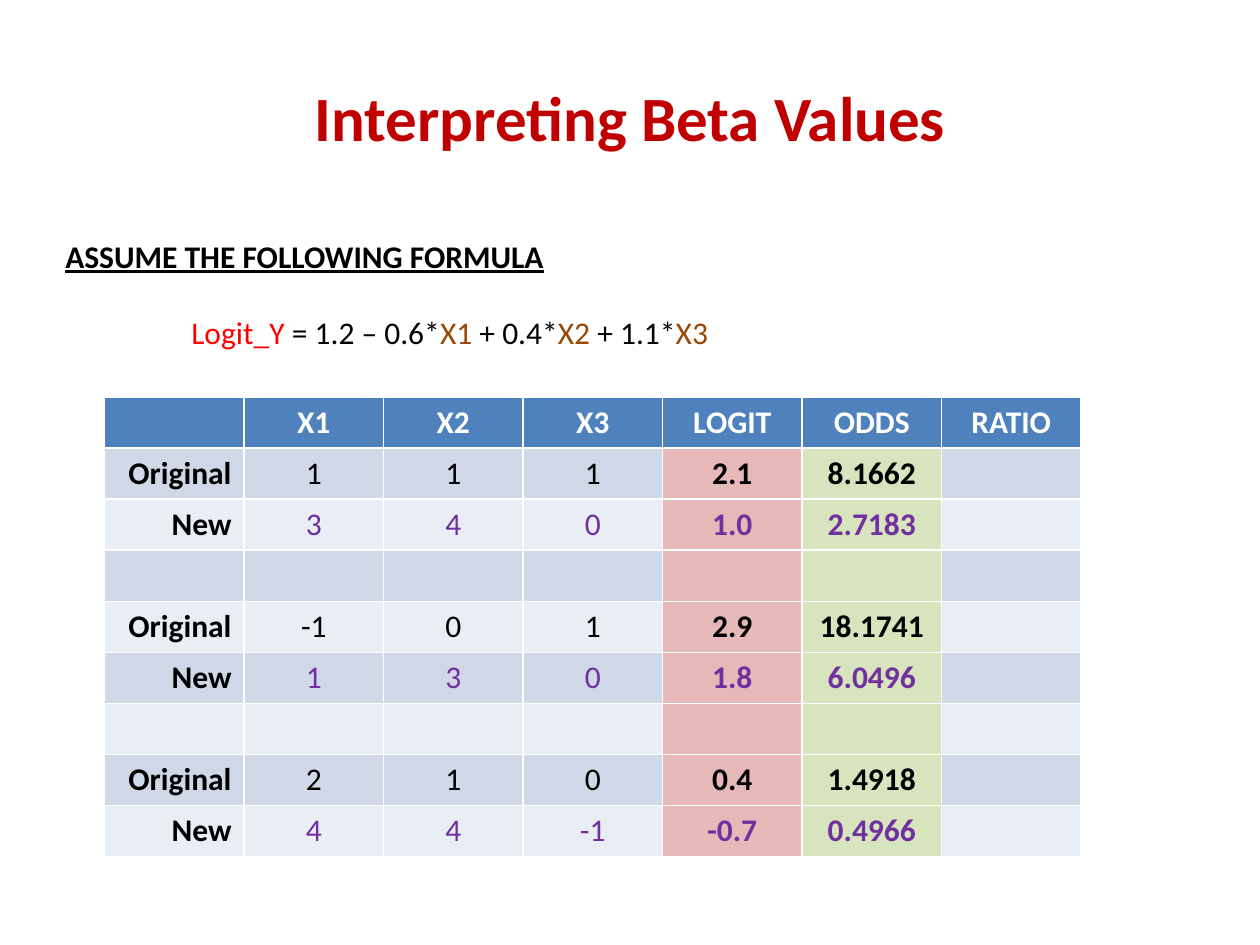
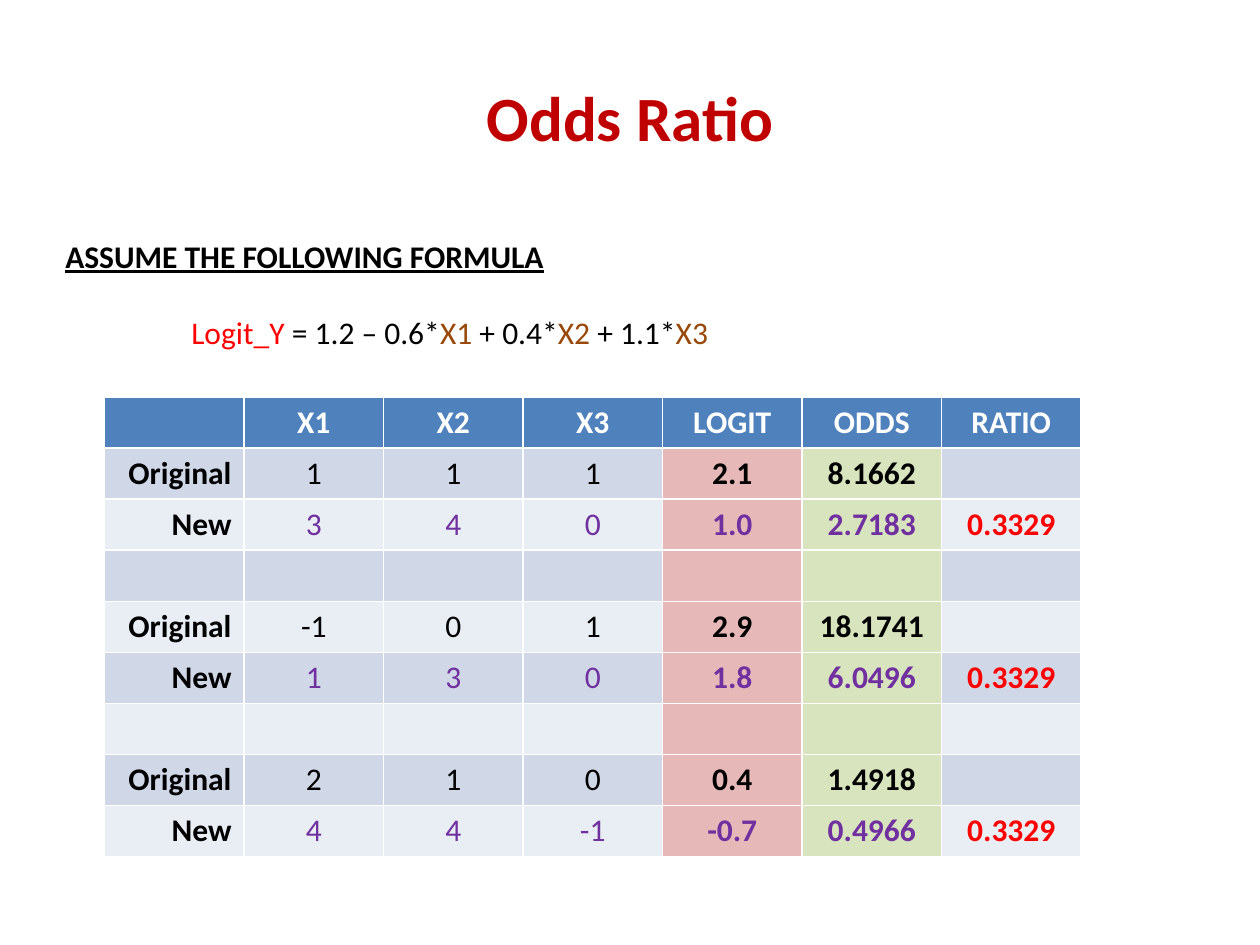
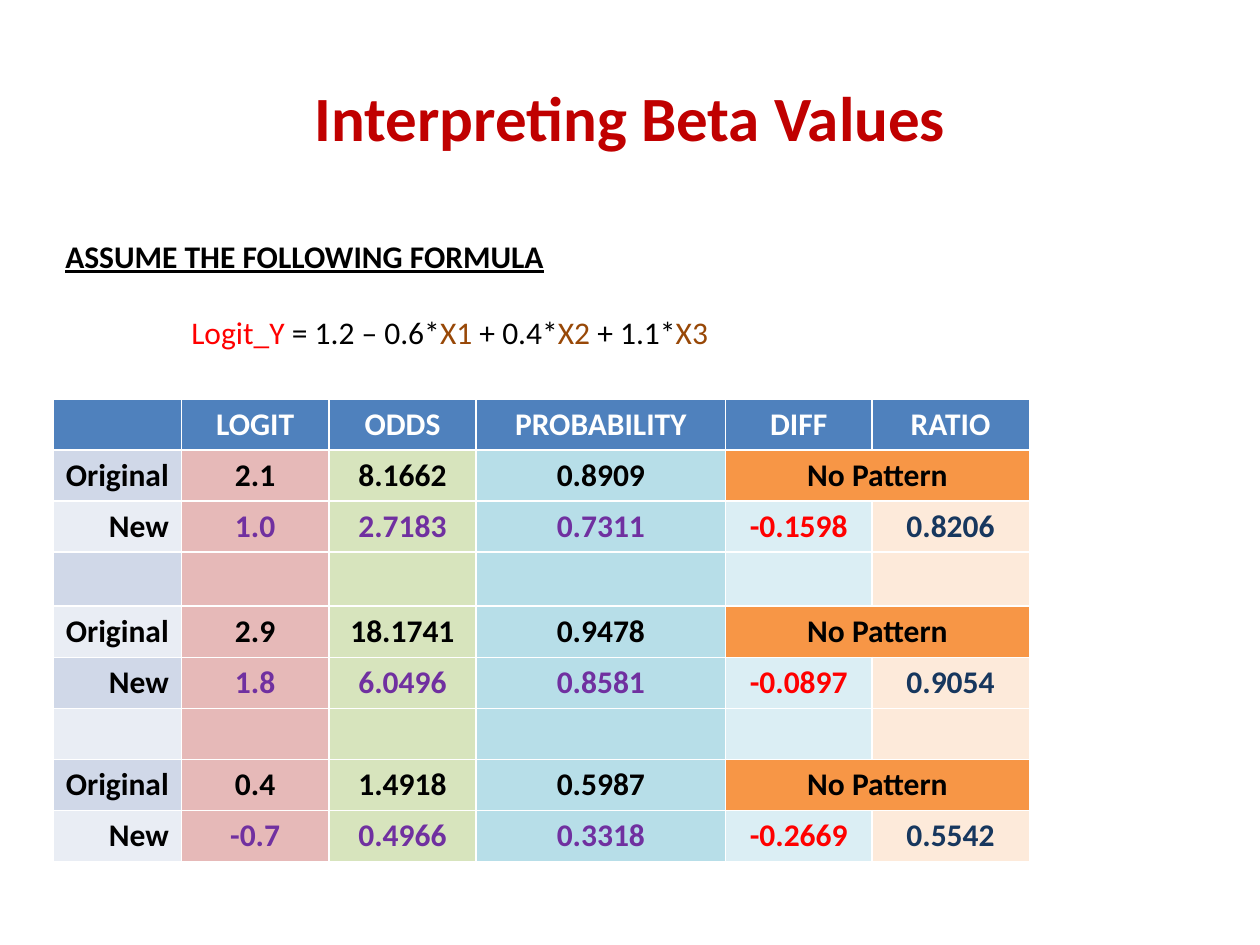
import pptx
import pptx.util
import pptx.dml.color
import pptx.enum.text
from collections import namedtuple

Inches, Pt = pptx.util.Inches, pptx.util.Pt
ALIGN = pptx.enum.text.PP_ALIGN
FONT = "Calibri"
BLACK, WHITE, RED, MAROON = "000000", "FFFFFF", "FF0000", "C00000"
PURPLE, BROWN, NAVY = "7030A0", "984807", "17375E"
BLUE, BANDS = "4F81BD", ("D0D8E8", "E9EDF4")
PINK, GREEN, AQUA = "E6B9B8", "D7E4BD", "B7DEE8"
SKY, CREAM, ORANGE = "DBEEF4", "FDEADA", "F79646"
MERGED = "No Pattern"

Col = namedtuple("Col", "head cells tint ink bold", defaults=(None, PURPLE, True))

NAMES = Col("", ["Original", "New"] * 3, ink=BLACK)
FACTORS = [
    Col("X1", ["1", "3", "-1", "1", "2", "4"], bold=False),
    Col("X2", ["1", "4", "0", "3", "1", "4"], bold=False),
    Col("X3", ["1", "0", "1", "0", "0", "-1"], bold=False),
]
LOGIT = Col("LOGIT", ["2.1", "1.0", "2.9", "1.8", "0.4", "-0.7"], PINK)
ODDS = Col("ODDS", ["8.1662", "2.7183", "18.1741", "6.0496", "1.4918", "0.4966"], GREEN)
CHANCE = Col("PROBABILITY", ["0.8909", "0.7311", "0.9478", "0.8581", "0.5987", "0.3318"], AQUA)
DIFF = Col("DIFF", [MERGED, "-0.1598", MERGED, "-0.0897", MERGED, "-0.2669"], SKY, RED)
SHARE = Col("RATIO", ["", "0.8206", "", "0.9054", "", "0.5542"], CREAM, NAVY)
BLANK = Col("RATIO", [""] * 6)
RATIO = Col("RATIO", ["", "0.3329"] * 3, ink=RED)

BASE = [NAMES, *FACTORS, LOGIT, ODDS]
EVEN = [7.75 / 7] * 7
ROWS = [3.65 / 9] * 9
SLIDES = [
    ("Interpreting Beta Values", BASE + [BLANK], 0.83, 3.15, EVEN, ROWS),
    ("Odds Ratio", BASE + [RATIO], 0.83, 3.15, EVEN, ROWS),
    ("Interpreting Beta Values", [NAMES, LOGIT, ODDS, CHANCE, DIFF, SHARE], 0.42, 3.17,
     [1.02, 1.17, 1.17, 1.98, 1.16, 1.25], [0.38, *ROWS[:2], 0.43, *ROWS[:5]]),
]

HEADING = "ASSUME THE FOLLOWING FORMULA"
FORMULA = [
    ("Logit_Y", RED), (" = 1.2 – 0.6*", BLACK), ("X1", BROWN),
    (" + 0.4*", BLACK), ("X2", BROWN), (" + 1.1*", BLACK), ("X3", BROWN),
]


def rgb(code):
    return pptx.dml.color.RGBColor.from_string(code)


def style(para, size, color, bold, align=ALIGN.LEFT):
    font = para.font
    font.name, font.size, font.bold = FONT, Pt(size), bold
    font.color.rgb = rgb(color)
    para.alignment = align


def add_title(slide, text):
    title = slide.shapes.title
    title.left, title.top = Inches(0.5), Inches(0.3)
    title.width, title.height = Inches(9), Inches(1.25)
    title.text_frame.vertical_anchor = pptx.enum.text.MSO_ANCHOR.MIDDLE
    title.text_frame.text = text
    style(title.text_frame.paragraphs[0], 36, MAROON, True, ALIGN.CENTER)


def add_formula(slide):
    box = slide.shapes.add_textbox(Inches(0.42), Inches(1.83), Inches(9), Inches(1.31))
    frame = box.text_frame
    frame.word_wrap = True
    frame.text = HEADING
    style(frame.paragraphs[0], 18, BLACK, True)
    frame.paragraphs[0].font.underline = True
    para = frame.add_paragraph()
    para.level = 2
    para.space_before = Pt(22)
    style(para, 18, BLACK, False)
    for text, color in FORMULA:
        run = para.add_run()
        run.text = text
        run.font.color.rgb = rgb(color)


def set_fill(cell, color):
    cell.fill.solid()
    cell.fill.fore_color.rgb = rgb(color)


def set_text(cell, text, color, bold, align=ALIGN.CENTER):
    cell.text = text
    style(cell.text_frame.paragraphs[0], 18, color, bold, align)


def add_grid(slide, cols, left, top, widths, heights):
    frame = slide.shapes.add_table(
        len(heights), len(cols), Inches(left), Inches(top),
        Inches(sum(widths)), Inches(sum(heights)))
    table = frame.table
    for row, height in zip(table.rows, heights):
        row.height = Inches(height)
    for c, (col, width) in enumerate(zip(cols, widths)):
        table.columns[c].width = Inches(width)
        set_fill(table.cell(0, c), BLUE)
        set_text(table.cell(0, c), col.head, WHITE, True)
        for r in range(1, len(heights)):
            set_fill(table.cell(r, c), col.tint or BANDS[(r - 1) % 2])
        align = ALIGN.CENTER if col.head else ALIGN.RIGHT
        for i, text in enumerate(col.cells):
            if not text:
                continue
            r = 1 + i + i // 2
            cell = table.cell(r, c)
            set_text(cell, text, col.ink if i % 2 else BLACK, col.bold, align)
            if text == MERGED:
                cell.merge(table.cell(r, c + 1))
                set_fill(cell, ORANGE)


def main():
    deck = pptx.Presentation()
    deck.slide_width, deck.slide_height = Inches(10), Inches(7.5)
    for title, *grid in SLIDES:
        slide = deck.slides.add_slide(deck.slide_layouts[5])
        add_title(slide, title)
        add_formula(slide)
        add_grid(slide, *grid)
    deck.save("out.pptx")


if __name__ == "__main__":
    main()
